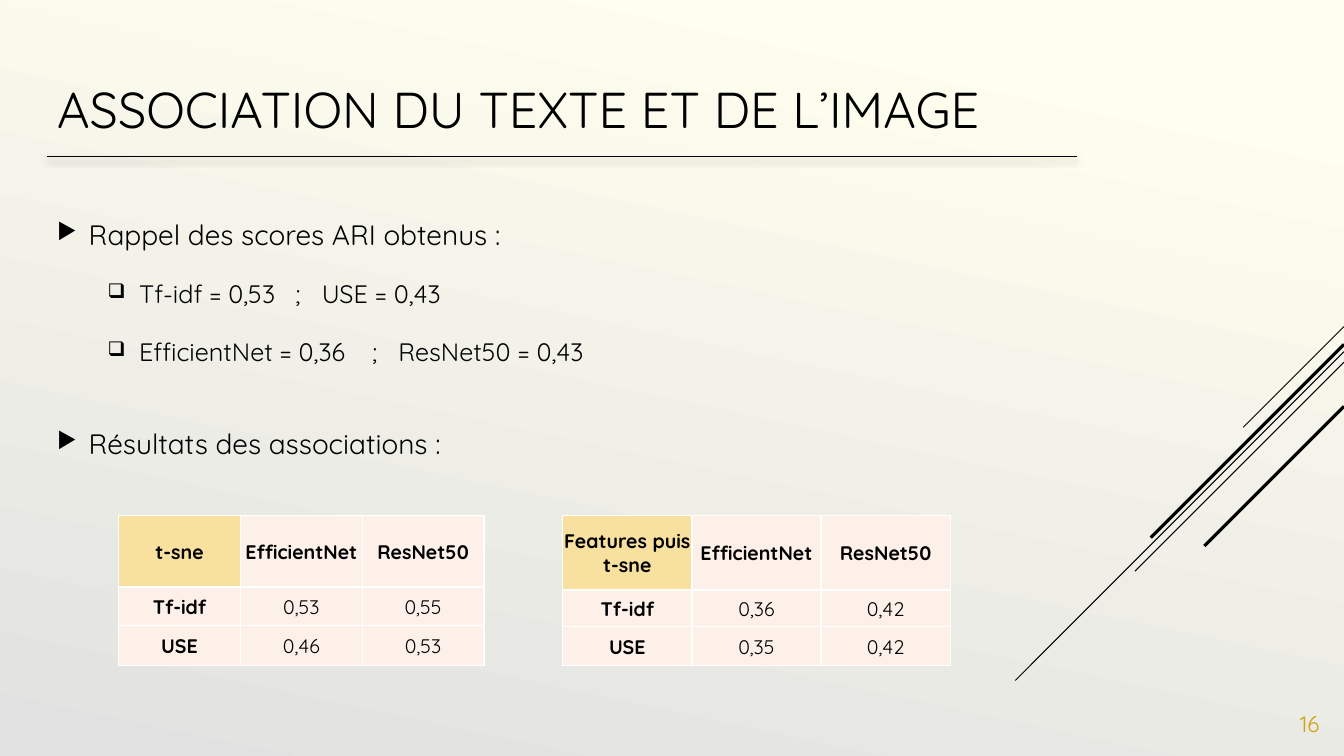
from lxml.etree import SubElement
from pptx import Presentation
from pptx.dml.color import RGBColor
from pptx.enum.shapes import MSO_CONNECTOR
from pptx.enum.text import MSO_ANCHOR, PP_ALIGN
from pptx.oxml.ns import qn
from pptx.util import Pt

PX = 9525
WIDTH, HEIGHT = 1280, 720
FONT = "Quicksand"
BLACK, WHITE, GOLD = "000000", "FFFFFF", "D2A010"
HEAD_FILL, CELL_FILL = "F8E19F", "FCF0E8"
STRIPES = [(311, 96, 0.75), (335, 313, 0.75), (345, 199, 0.75),
           (328, 184, 2.25), (387, 133, 2.25)]
TOP = {"space_after": Pt(6)}
SUB = {"space_before": Pt(3), "space_after": Pt(6), "line_spacing": 1.5}
BODY = [
    ("Rappel des scores ARI obtenus :", 20, "▶", 30, [], TOP),
    ("Tf-idf = 0,53\t;\tUSE = 0,43", 18, "❑", 78, [227, 252], SUB),
    ("EfficientNet = 0,36\t;\tResNet50 = 0,43", 18, "❑", 78, [300, 325], SUB),
    ("Résultats des associations :", 20, "▶", 30, [],
     {"space_before": Pt(37), "space_after": Pt(6)}),
]
TABLES = [
    (113, 116, [68, 37, 38], [["t-sne", "EfficientNet", "ResNet50"],
                              ["Tf-idf", "0,53", "0,55"],
                              ["USE", "0,46", "0,53"]]),
    (536, 123, [71, 35, 37], [["Features puis\nt-sne", "EfficientNet", "ResNet50"],
                              ["Tf-idf", "0,36", "0,42"],
                              ["USE", "0,35", "0,42"]]),
]


def px(*lengths):
    return [n * PX for n in lengths]


def color(value):
    return RGBColor.from_string(value)


def apply(target, values):
    for name, value in values.items():
        setattr(target, name, value)


def add_run(p, text, size, fill=BLACK, bold=False):
    r = p.add_run()
    r.text = text
    apply(r.font, {"name": FONT, "size": Pt(size), "bold": bold})
    r.font.color.rgb = color(fill)


def add_box(s, box, anchor):
    tf = s.shapes.add_textbox(*px(*box)).text_frame
    apply(tf, {"word_wrap": True, "vertical_anchor": anchor})
    return tf


def add_line(s, ends, width):
    line = s.shapes.add_connector(MSO_CONNECTOR.STRAIGHT, *px(*ends))
    line.line.width = Pt(width)
    line.line.color.rgb = color(BLACK)
    return SubElement(line._element.spPr, qn("a:effectLst"))


def add_shadow(effects):
    shadow = SubElement(effects, qn("a:outerShdw"), blurRad=str(Pt(4)),
                        dist=str(Pt(3)), dir="5400000")
    tint = SubElement(shadow, qn("a:srgbClr"), val=BLACK)
    SubElement(tint, qn("a:alpha"), val="40000")


def set_bullet(p, char, indent, tabs):
    pPr = p._p.get_or_add_pPr()
    pPr.set("marL", str(indent * PX))
    pPr.set("indent", str(-30 * PX))
    SubElement(SubElement(pPr, qn("a:buClr")), qn("a:srgbClr"), val=BLACK)
    SubElement(pPr, qn("a:buSzPct"), val="80000")
    SubElement(pPr, qn("a:buChar"), char=char)
    if tabs:
        stops = SubElement(pPr, qn("a:tabLst"))
        for pos in tabs:
            SubElement(stops, qn("a:tab"), pos=str(pos * PX), algn="l")


def add_body(s):
    tf = add_box(s, (45, 202, 981, 495), MSO_ANCHOR.TOP)
    for i, (text, size, char, indent, tabs, spacing) in enumerate(BODY):
        p = tf.add_paragraph() if i else tf.paragraphs[0]
        apply(p, spacing)
        p.level = int(indent > 30)
        set_bullet(p, char, indent, tabs)
        add_run(p, text, size)


def set_borders(cell):
    tcPr = cell._tc.get_or_add_tcPr()
    for i, side in enumerate(("lnL", "lnR", "lnT", "lnB")):
        ln = tcPr.makeelement(qn(f"a:{side}"), {"w": str(Pt(1))})
        SubElement(SubElement(ln, qn("a:solidFill")), qn("a:srgbClr"), val=WHITE)
        tcPr.insert(i, ln)


def fill_cell(cell, text, fill, bold):
    apply(cell, {"vertical_anchor": MSO_ANCHOR.MIDDLE, "margin_left": PX,
                 "margin_right": PX, "margin_top": PX, "margin_bottom": 0})
    cell.fill.solid()
    cell.fill.fore_color.rgb = color(fill)
    set_borders(cell)
    tf = cell.text_frame
    for i, part in enumerate(text.split("\n")):
        p = tf.add_paragraph() if i else tf.paragraphs[0]
        p.alignment = PP_ALIGN.CENTER
        add_run(p, part, 14, bold=bold)


def add_scores(s, left, col_width, heights, rows):
    n = len(rows[0])
    box = px(left, 491, n * col_width, sum(heights))
    table = s.shapes.add_table(len(rows), n, *box).table
    for col in table.columns:
        col.width = col_width * PX
    for i, row in enumerate(rows):
        table.rows[i].height = heights[i] * PX
        for j, text in enumerate(row):
            fill = CELL_FILL if i or j else HEAD_FILL
            fill_cell(table.cell(i, j), text, fill, i == 0 or j == 0)


def set_background(s):
    fill = s.background.fill
    fill.gradient()
    fill.gradient_angle = 258
    for stop, pos, tint in zip(fill.gradient_stops, (0.1, 1), ("FFFFEF", "E1E1E1")):
        stop.position = pos
        stop.color.rgb = color(tint)


def main():
    prs = Presentation()
    prs.slide_width, prs.slide_height = px(WIDTH, HEIGHT)
    s = prs.slides.add_slide(prs.slide_layouts[6])
    set_background(s)
    for top, run, width in STRIPES:
        add_line(s, (WIDTH, top, WIDTH - run, top + run), width)
    add_shadow(add_line(s, (45, 149, 1026, 149), 1.25))
    title = add_box(s, (45, 34, 981, 109), MSO_ANCHOR.MIDDLE).paragraphs[0]
    title.line_spacing = 1.5
    add_run(title, "ASSOCIATION DU TEXTE ET DE L’IMAGE", 36)
    add_body(s)
    for scores in TABLES:
        add_scores(s, *scores)
    number = add_box(s, (1184, 669, 82, 38), MSO_ANCHOR.BOTTOM).paragraphs[0]
    number.alignment = PP_ALIGN.RIGHT
    add_run(number, "16", 16, GOLD)
    prs.save("out.pptx")


if __name__ == "__main__":
    main()
